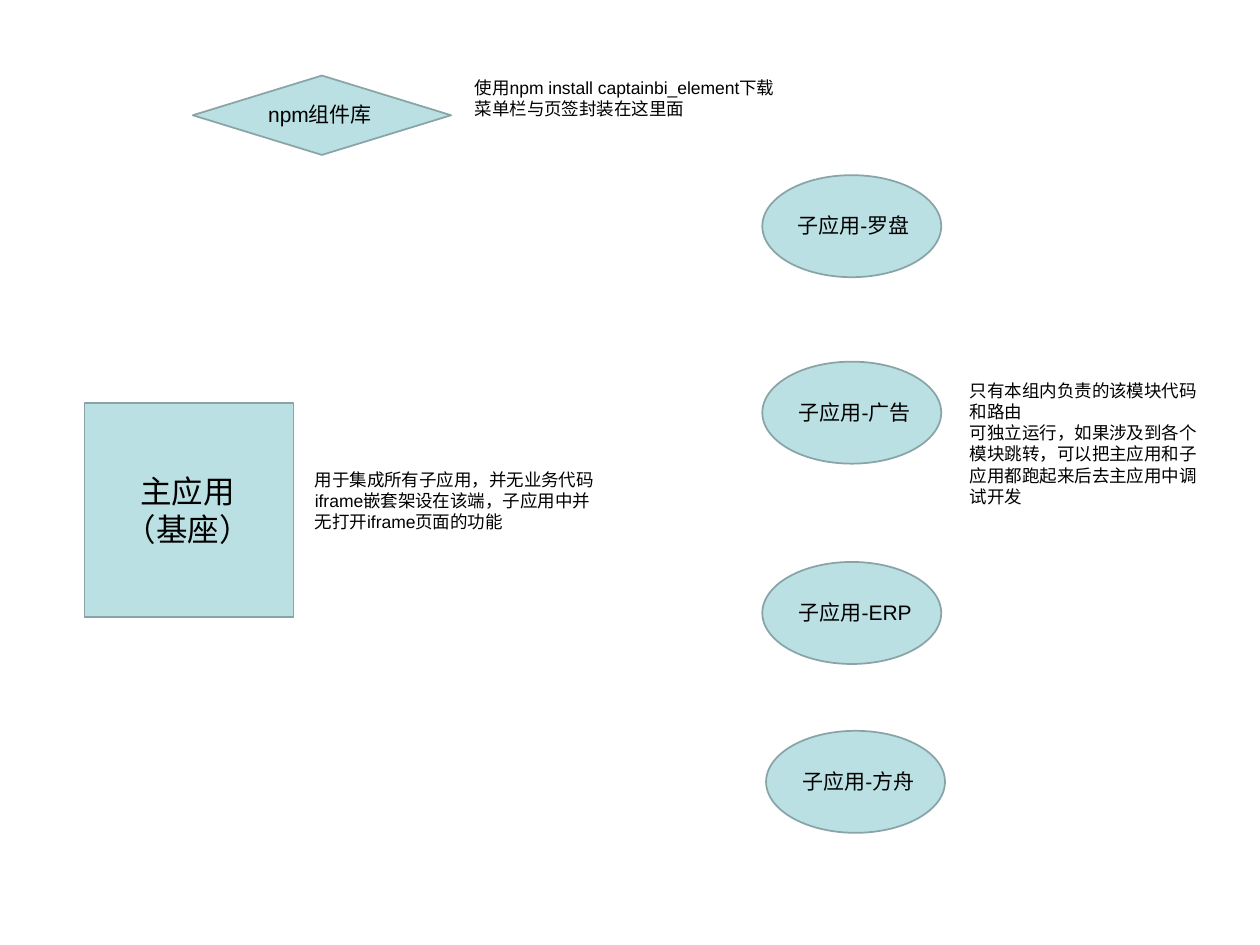
from dataclasses import dataclass
from pptx import Presentation
from pptx.dml.color import RGBColor
from pptx.enum.shapes import MSO_SHAPE
from pptx.enum.text import MSO_AUTO_SIZE, PP_ALIGN
from pptx.slide import Slide
from pptx.util import Inches, Pt

RECT = MSO_SHAPE.RECTANGLE
OVAL = MSO_SHAPE.FLOWCHART_CONNECTOR
DIAMOND = MSO_SHAPE.FLOWCHART_DECISION
GROW = MSO_AUTO_SIZE.SHAPE_TO_FIT_TEXT
LEFT, CENTER = PP_ALIGN.LEFT, PP_ALIGN.CENTER
BLACK = RGBColor(0x00, 0x00, 0x00)
AQUA = RGBColor(0xBB, 0xE0, 0xE3)
SLATE = RGBColor(0x89, 0xA4, 0xA7)

BASE_NOTE = """用于集成所有子应用，并无业务代码
iframe嵌套架设在该端，子应用中并
无打开iframe页面的功能"""
MODULE_NOTE = """只有本组内负责的该模块代码
和路由
可独立运行，如果涉及到各个
模块跳转，可以把主应用和子
应用都跑起来后去主应用中调
试开发"""
LIB_NOTE = """使用npm install captainbi_element下载
菜单栏与页签封装在这里面"""
APPS = [
    ("罗盘", 6.05, 1.39, 0.18, 1.13, 0.5),
    ("广告", 6.05, 2.87, 0.19, 1.2, 0.3),
    ("ERP", 6.05, 4.46, 0.19, 1.1, 0.5),
    ("方舟", 6.08, 5.8, 0.19, 1.1, 0.5),
]


@dataclass
class Board:
    """Draws the nodes and labels of the app diagram in one style."""
    slide: Slide
    font: str = "Arial"

    def node(self, kind, *box):
        shape = self.slide.shapes.add_shape(kind, *map(Inches, box))
        shape.shadow.inherit = False
        shape.fill.solid()
        shape.fill.fore_color.rgb = AQUA
        shape.line.color.rgb = SLATE
        shape.line.width = Pt(1)

    def label(self, text, *box, size=10, wrap=True, align=LEFT):
        frame = self.slide.shapes.add_textbox(*map(Inches, box)).text_frame
        frame.word_wrap = wrap
        frame.auto_size = GROW
        frame.text = text
        for para in frame.paragraphs:
            para.alignment = align
            para.font.name = self.font
            para.font.size = Pt(size)
            para.font.color.rgb = BLACK


def main():
    deck = Presentation()
    deck.slide_width, deck.slide_height = Inches(10), Inches(7.5)
    board = Board(deck.slides.add_slide(deck.slide_layouts[6]))

    board.node(RECT, 0.67, 3.2, 1.66, 1.7)
    board.label("主应用\n（基座）", 0.88, 3.7, 1.22, 0.7, size=18, wrap=False,
                align=CENTER)
    board.label(BASE_NOTE, 2.4, 3.67, 2.55, 0.6)

    board.node(DIAMOND, 1.53, 0.6, 2.05, 0.63)
    board.label("npm组件库", 2.03, 0.76, 1.2, 0.3, size=12)
    board.label(LIB_NOTE, 3.67, 0.56, 2.8, 0.44)

    for name, left, top, inset, width, height in APPS:
        board.node(OVAL, left, top, 1.42, 0.81)
        board.label(f"子应用-{name}", left + inset, top + 0.25, width, height,
                    size=12)
    board.label(MODULE_NOTE, 7.6, 2.97, 2.1, 1.27)

    deck.save("out.pptx")


if __name__ == "__main__":
    main()
